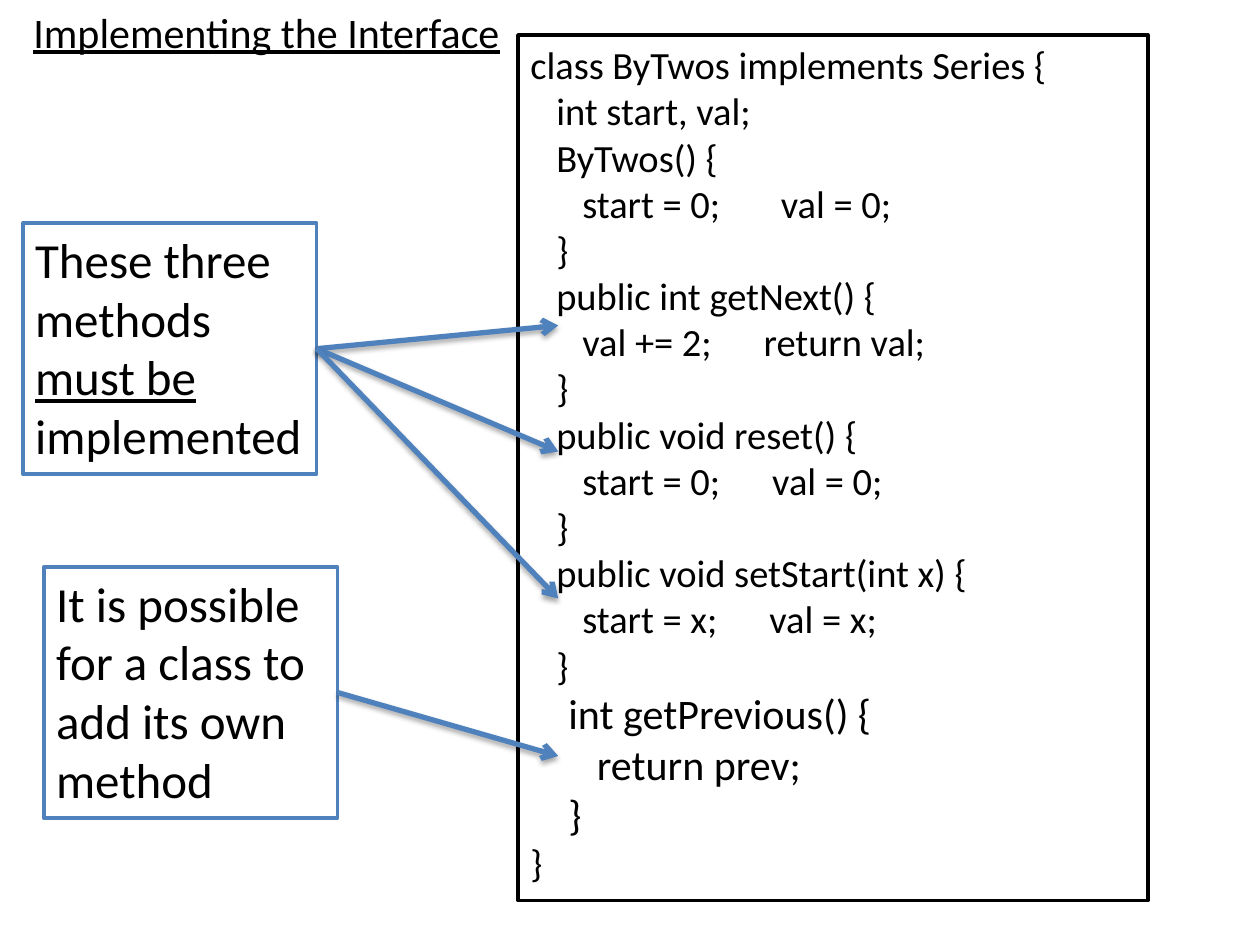
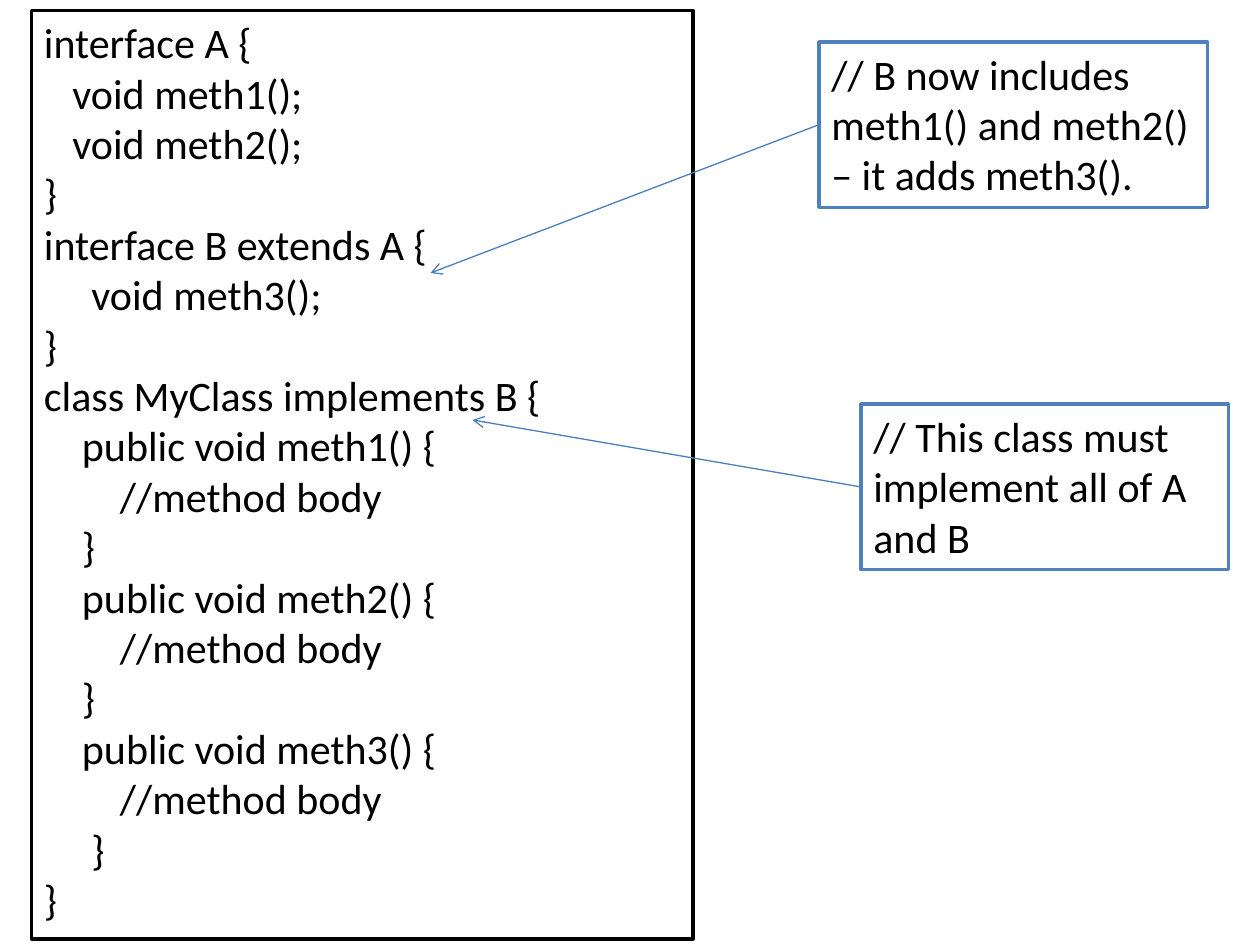
from lxml import etree
from pptx import Presentation
from pptx.dml.color import RGBColor
from pptx.enum import shapes, text
from pptx.oxml import ns
from pptx.util import Pt

BLACK = RGBColor(0x00, 0x00, 0x00)
WHITE = RGBColor(0xFF, 0xFF, 0xFF)
BLUE = RGBColor(0x4F, 0x81, 0xBD)
THIN_BLUE = RGBColor(0x4B, 0x7E, 0xBC)
FONT = "Calibri"

BY_TWOS_START = """class ByTwos implements Series {
   int start, val;
   ByTwos() {
      start = 0;       val = 0;
   }
   public int getNext() {
      val += 2;      return val;
   }
   public void reset() {
      start = 0;      val = 0;
   }
   public void setStart(int x) {
      start = x;      val = x;
   }"""
BY_TWOS_OWN_METHOD = """    int getPrevious() {
       return prev;
    }"""
EXTENDED_INTERFACE = """interface A {
   void meth1();
   void meth2();
}
interface B extends A {
     void meth3();
}
class MyClass implements B {
    public void meth1() {
        //method body
    }
    public void meth2() {
        //method body
    }
    public void meth3() {
        //method body
     }
}"""


def add_span(para, words, size, underline=False):
    span = para.add_run()
    span.text = words
    span.font.name = FONT
    span.font.size = Pt(size)
    span.font.color.rgb = BLACK
    span.font.underline = underline


def add_title(page, left, top, width, height, words):
    box = page.shapes.add_textbox(Pt(left), Pt(top), Pt(width), Pt(height))
    box.text_frame.word_wrap = False
    box.text_frame.auto_size = text.MSO_AUTO_SIZE.SHAPE_TO_FIT_TEXT
    add_span(box.text_frame.paragraphs[0], words, 24, underline=True)


def add_frame(page, area, line_color):
    """White outlined rectangle with text at its top left."""
    box = page.shapes.add_shape(shapes.MSO_SHAPE.RECTANGLE, *map(Pt, area))
    box.shadow.inherit = False
    box.fill.solid()
    box.fill.fore_color.rgb = WHITE
    box.line.color.rgb = line_color
    box.line.width = Pt(2)
    frame = box.text_frame
    frame.word_wrap = True
    frame.auto_size = text.MSO_AUTO_SIZE.SHAPE_TO_FIT_TEXT
    frame.vertical_anchor = text.MSO_ANCHOR.TOP
    frame.paragraphs[0].alignment = text.PP_ALIGN.LEFT
    return frame


def add_code(page, area, parts):
    """Code panel; each part is (code, size), one paragraph per line."""
    frame = add_frame(page, area, BLACK)
    lines = [(line, size) for code, size in parts for line in code.split("\n")]
    for index, (line, size) in enumerate(lines):
        para = frame.add_paragraph() if index else frame.paragraphs[0]
        para.alignment = text.PP_ALIGN.LEFT
        add_span(para, line, size)


def add_arrow(page, start, end, color, width, shadow):
    arrow = page.shapes.add_connector(
        shapes.MSO_CONNECTOR.STRAIGHT, *map(Pt, start + end))
    arrow.line.color.rgb = color
    arrow.line.width = Pt(width)
    etree.SubElement(arrow.line._get_or_add_ln(), ns.qn("a:tailEnd"), type="arrow")
    effects = etree.SubElement(arrow._element.spPr, ns.qn("a:effectLst"))
    if shadow:
        outer = etree.SubElement(
            effects, ns.qn("a:outerShdw"), blurRad=str(Pt(3.1)),
            dist=str(Pt(1.8)), dir="5400000", rotWithShape="0")
        tint = etree.SubElement(outer, ns.qn("a:srgbClr"), val=str(BLACK))
        etree.SubElement(tint, ns.qn("a:alpha"), val="35000")


def add_note(page, area, spans, size, targets, from_right):
    """Note box with arrows from the middle of one side to each target."""
    para = add_frame(page, area, BLUE).paragraphs[0]
    for words, underline in spans:
        add_span(para, words, size, underline)
    left, top, width, height = area
    start = (left + width * from_right, top + height / 2)
    color, weight = (BLUE, 3) if from_right else (THIN_BLUE, 0.75)
    for target in targets:
        add_arrow(page, start, target, color, weight, shadow=from_right)


def build_implementing(page):
    add_title(page, 12, 0, 284, 36, "Implementing the Interface")
    add_code(page, (296, 20, 360, 494.6),
             [(BY_TWOS_START, 22), (BY_TWOS_OWN_METHOD, 24), ("}", 22)])
    arrow_end = 319
    add_note(page, (13, 127.5, 168, 143.5),
             [("These three methods ", False), ("must be ", True),
              ("implemented", False)],
             28, [(arrow_end, y) for y in (186, 258, 342)], from_right=True)
    add_note(page, (25, 324, 168, 143.5),
             [("It is possible for a class to add its own method", False)],
             28, [(arrow_end, 432)], from_right=True)


def build_extending(page):
    add_code(page, (18, 6, 378, 530.5), [(EXTENDED_INTERFACE, 24)])
    add_note(page, (492, 231, 210, 94.5),
             [("// This class must implement all of A and B", False)],
             24, [(270, 240)], from_right=False)
    add_note(page, (468, 24, 222, 94.5),
             [("// B now includes meth1() and meth2() – it adds meth3().", False)],
             24, [(246, 156)], from_right=False)


def main():
    deck = Presentation()
    deck.slide_width, deck.slide_height = Pt(720), Pt(540)
    for build in (build_implementing, build_extending):
        build(deck.slides.add_slide(deck.slide_layouts[6]))
    deck.save("out.pptx")


if __name__ == "__main__":
    main()
